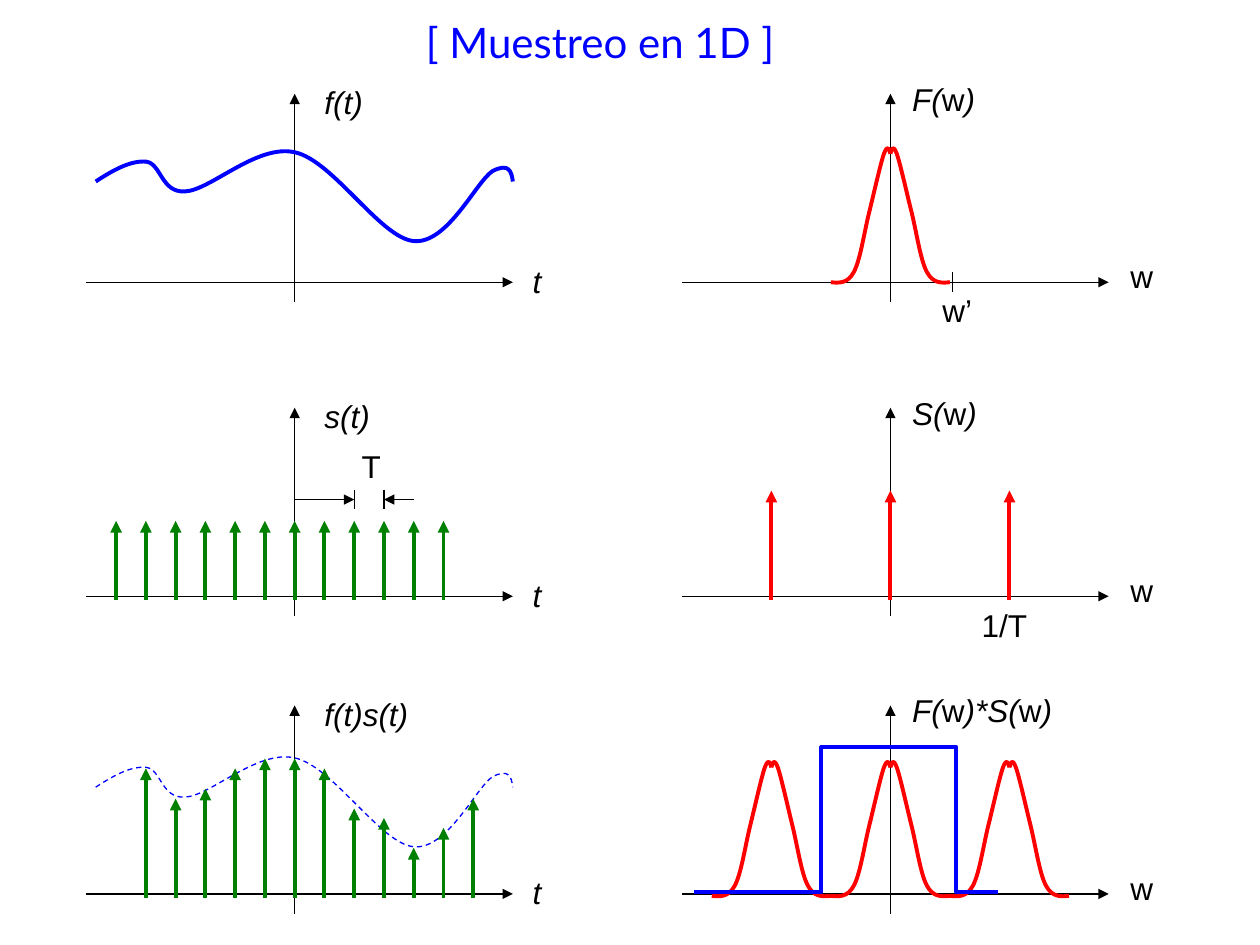
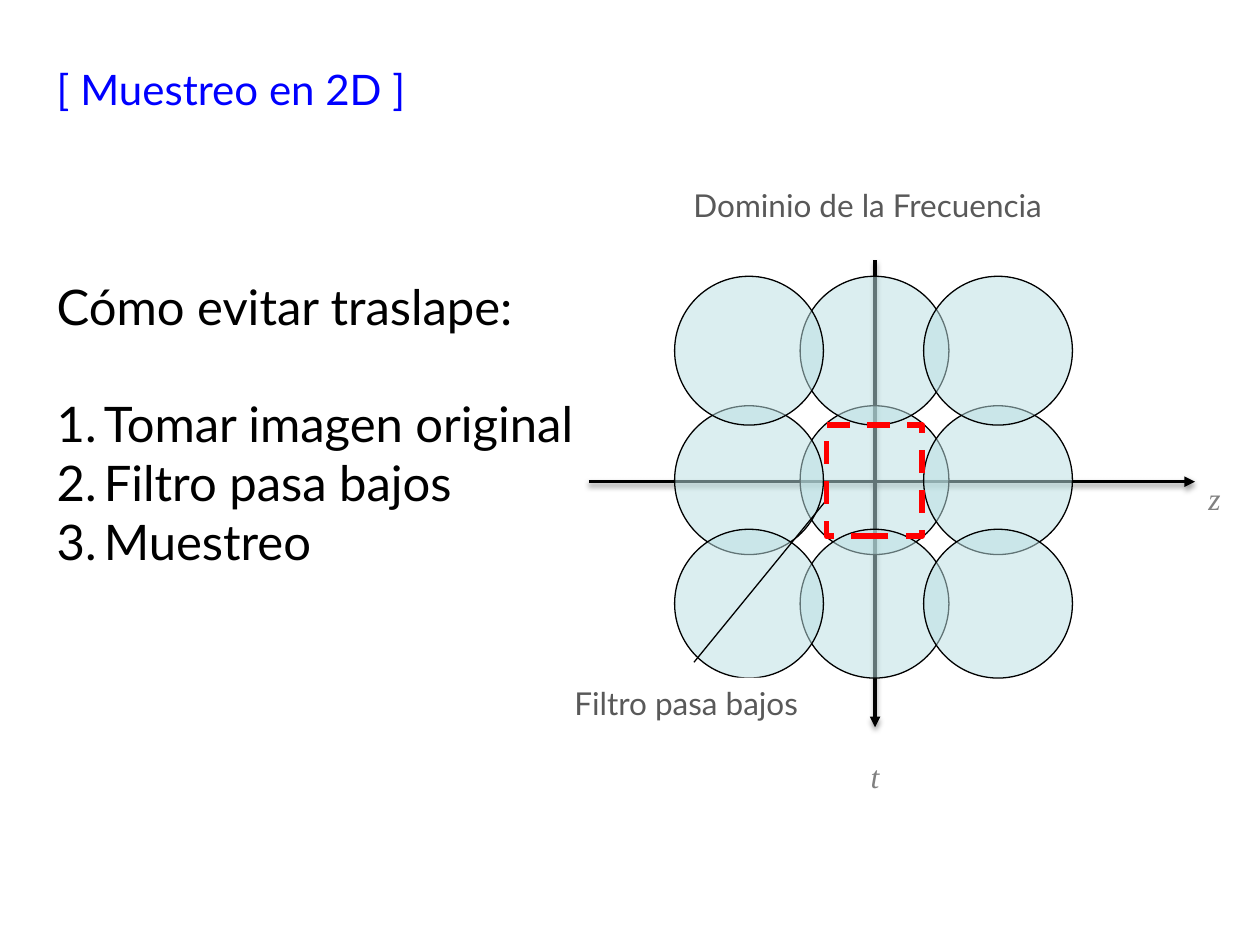
from itertools import product

from lxml.etree import SubElement
from pptx import Presentation
from pptx.dml.color import RGBColor
from pptx.enum.dml import MSO_LINE
from pptx.enum.shapes import MSO_CONNECTOR, MSO_SHAPE
from pptx.enum.text import MSO_ANCHOR, MSO_AUTO_SIZE, PP_ALIGN
from pptx.oxml.ns import qn
from pptx.util import Cm, Pt

COLORS = {"black": "000000", "white": "FFFFFF", "blue": "0000FF", "red": "FF0000",
          "green": "008000", "dark": "595959", "gray": "808080", "aqua": "BBE0E3"}

# Lengths are centimetres; plot points are (offset from axis, height over base).
LEFT, RIGHT = 5.94, 17.95          # x of the vertical axes
BASES = (5.69, 12.02, 18.02)       # y of the horizontal axes
STEP, SPAN = 0.6, 2.4              # gap of samples, gap of spectra
PLOTS = [  # base, time runs, width, frequency runs, width
    (BASES[0], [("f(t)", True)], 1.3, [("F(", True), ("w", False), (")", True)], 1.8),
    (BASES[1], [("s(t)", True)], 1.45, [("S(", True), ("w", False), (")", True)], 1.83),
    (BASES[2], [("f(t)s(t)", True)], 2.24,
     [("F(", True), ("w", False), (")*S(", True), ("w", False), (")", True)], 3.35),
]
MARKS = [("w’", 18.75, 5.74, 1.12), ("T", 7.04, 8.89, 0.91), ("1/T", 19.54, 12.09, 1.45)]
# Knots of cubic curves: a start, then two handles and an end for each piece.
WAVE = [(-4.01, 2.03), (-3.66, 2.26), (-3.3, 2.46), (-2.99, 2.43), (-2.69, 2.39),
        (-2.69, 1.8), (-2.21, 1.83), (-1.7, 1.85), (-0.76, 2.79), (0, 2.62),
        (0.77, 2.46), (1.73, 0.89), (2.4, 0.83), (3.08, 0.76), (3.66, 2.03),
        (3.99, 2.24), (4.32, 2.41), (4.37, 2.24), (4.4, 2.03)]
LOBE = [(-1.2, 0), (-1.02, -0.02), (-0.86, -0.02), (-0.74, 0.2), (-0.61, 0.43),
        (-0.53, 0.99), (-0.43, 1.4), (-0.33, 1.8), (-0.2, 2.39), (-0.13, 2.59),
        (-0.05, 2.79), (-0.03, 2.69), (0, 2.59)]
HEIGHTS = [2.53, 1.92, 2.12, 2.53, 2.73, 2.73, 2.53, 1.72, 1.53, 0.93, 1.33, 1.92]
FILTER = [(14, 17.98), (16.56, 17.98), (16.56, 15.06), (19.28, 15.06),
          (19.28, 17.98), (20.12, 17.98)]

HEAD = "Cómo evitar traslape:"
STEPS = ["Tomar imagen original", "Filtro pasa bajos", "Muestreo"]
ROWS, COLS, DISC = (8.18, 5.57, 10.67), (16.13, 18.62, 13.6), 3
AXES = [(17.64, 5.25, 17.64, 14.66), (11.87, 9.71, 24.09, 9.71)]
NAMES = [("t", 17.3, 15.14, 0.69), ("z", 24.11, 9.53, 0.76)]


def rgb(name):
    return RGBColor.from_string(COLORS[name])


def place(shape, x, y, w, h):
    shape.left, shape.top, shape.width, shape.height = Cm(x), Cm(y), Cm(w), Cm(h)


def fit(frame):
    frame.word_wrap = False
    frame.auto_size = MSO_AUTO_SIZE.NONE
    frame.vertical_anchor = MSO_ANCHOR.TOP


def write(para, text, size, face, color, slant=False):
    run = para.add_run()
    run.text = text
    font = run.font
    font.size, font.name, font.italic = Pt(size), face, slant
    font.color.rgb = rgb(color)


def label(slide, runs, x, y, w, face="Arial", color="black", fill=None):
    box = slide.shapes.add_textbox(Cm(x), Cm(y), Cm(w), Cm(1.02))
    fit(box.text_frame)
    if fill:
        box.fill.solid()
        box.fill.fore_color.rgb = rgb(fill)
    for text, slant in runs:
        write(box.text_frame.paragraphs[0], text, 18, face, color, slant)


def title(slide, text, x, y):
    shape = slide.shapes.title
    place(shape, x, y, 7.55, 1.27)
    shape.fill.solid()
    shape.fill.fore_color.rgb = rgb("white")
    fit(shape.text_frame)
    para = shape.text_frame.paragraphs[0]
    para.alignment = PP_ALIGN.LEFT
    write(para, text, 24, "Lato", "blue")


def stroke(shape, color, width, dash=False):
    shape.line.color.rgb = rgb(color)
    shape.line.width = Pt(width)
    if dash:
        shape.line.dash_style = MSO_LINE.DASH


def line(slide, x1, y1, x2, y2, color="black", width=0.75, arrow=True, shade=False):
    link = slide.shapes.add_connector(MSO_CONNECTOR.STRAIGHT, Cm(x1), Cm(y1), Cm(x2), Cm(y2))
    stroke(link, color, width)
    props = link.element.spPr
    if arrow:
        SubElement(props.find(qn("a:ln")), qn("a:tailEnd"), type="triangle")
    effect = SubElement(props, qn("a:effectLst"))
    if shade:
        cast = SubElement(effect, qn("a:outerShdw"), blurRad=str(Pt(3.1)), dist=str(Pt(1.6)),
                          dir="5400000", rotWithShape="0")
        tone = SubElement(cast, qn("a:srgbClr"), val=COLORS["black"])
        SubElement(tone, qn("a:alpha"), val="38000")


def trace(slide, points, color, width=2.25, dash=False):
    spots = [(Cm(x), Cm(y)) for x, y in points]
    pen = slide.shapes.build_freeform(*spots[0])
    pen.add_line_segments(spots[1:], close=False)
    shape = pen.convert_to_shape()
    shape.fill.background()
    shape.shadow.inherit = False
    stroke(shape, color, width, dash)
    return shape


def bend(shape):
    """Turn each three straight pieces into one cubic curve."""
    route = next(shape.element.iter(qn("a:path")))
    pieces = route.findall(qn("a:lnTo"))
    for i in range(0, len(pieces), 3):
        cubic = SubElement(route, qn("a:cubicBezTo"))
        for piece in pieces[i:i + 3]:
            cubic.append(piece[0])
            route.remove(piece)


def curve(slide, knots, mid, base, color, width=2.25, dash=False, side=1):
    spots = [(mid + side * x, base - y) for x, y in knots]
    bend(trace(slide, spots, color, width, dash))


def lobe(slide, mid, base):
    for side in (1, -1):
        curve(slide, LOBE, mid, base, "red", side=side)


def pulse(slide, x, base, height, color):
    line(slide, x, base + 0.08, x, base - height, color, 2.25)


def plot(slide, base, time, wide, freq, broad):
    for mid in (LEFT, RIGHT):
        line(slide, mid - 4.2, base, mid + 4.4, base)
        line(slide, mid, base + 0.4, mid, base - 3.8)
    label(slide, [("t", True)], 10.49, base - 0.54, 0.69)
    label(slide, [("w", False)], 22.54, base - 0.63, 0.97)
    label(slide, time, LEFT + 0.35, base - 4.14, wide)
    label(slide, freq, RIGHT + 0.19, base - 4.21, broad)


def sampling(deck):
    slide = deck.slides.add_slide(deck.slide_layouts[5])
    title(slide, "[ Muestreo en 1D ]", 8.33, 0.2)
    for row in PLOTS:
        plot(slide, *row)
    for text, x, y, w in MARKS:
        label(slide, [(text, False)], x, y, w)
    top, mid, low = BASES

    curve(slide, WAVE, LEFT, top, "blue")
    lobe(slide, RIGHT, top)
    line(slide, 19.2, top - 0.2, 19.2, top + 0.2, arrow=False)

    for i in range(-6, 6):
        pulse(slide, LEFT + i * STEP, mid, 1.52, "green")
    gauge = 10.07
    for start, end in ((0, 2), (4, 3)):
        x = LEFT + end * STEP
        line(slide, LEFT + start * STEP, gauge, x, gauge)
        line(slide, x, gauge - 0.2, x, gauge + 0.2, arrow=False)
    for i in (-1, 0, 1):
        pulse(slide, RIGHT + i * SPAN, mid, 2.13, "red")

    curve(slide, WAVE, LEFT, low - 0.12, "blue", 0.75, True)
    for i, height in enumerate(HEIGHTS, -5):
        pulse(slide, LEFT + i * STEP, low, height, "green")
    for i in (-1, 0, 1):
        lobe(slide, RIGHT + i * SPAN, low + 0.04)
    trace(slide, FILTER, "blue")


def advice(slide):
    body = slide.placeholders[1]
    place(body, 0.89, 5.44, 11.38, 6.25)
    frame = body.text_frame
    fit(frame)
    for i, text in enumerate([HEAD] + STEPS):
        para = frame.paragraphs[0] if i == 0 else frame.add_paragraph()
        props = para._p.get_or_add_pPr()
        indent = Cm(0.95) if i else 0
        props.set("marL", str(indent))
        props.set("indent", str(-indent))
        if i:
            SubElement(props, qn("a:buFont"), typeface="+mj-lt")
            SubElement(props, qn("a:buAutoNum"), type="arabicPeriod")
        else:
            SubElement(props, qn("a:buNone"))
        para.space_before = Pt(33.6 if i == 1 else 0)
        write(para, text, 28, "Lato", "black")


def spectrum(deck):
    slide = deck.slides.add_slide(deck.slide_layouts[1])
    title(slide, "[ Muestreo en 2D ]", 0.89, 1.15)
    for ends in AXES:
        line(slide, *ends, width=2, shade=True)
    for text, x, y, w in NAMES:
        label(slide, [(text, True)], x, y, w, "Times New Roman", "gray")
    label(slide, [("Dominio de la Frecuencia", False)], 13.73, 3.63, 7.8,
          "Lato", "dark", "white")
    for y, x in product(ROWS, COLS):
        disc = slide.shapes.add_shape(MSO_SHAPE.OVAL, Cm(x), Cm(y), Cm(DISC), Cm(DISC))
        disc.shadow.inherit = False
        disc.fill.solid()
        disc.fill.fore_color.rgb = rgb("aqua")
        tone = disc.element.spPr.find(qn("a:solidFill"))[0]
        SubElement(tone, qn("a:alpha"), val="52000")
        stroke(disc, "black", 0.75)
    line(slide, 16.66, 10.08, 13.99, 13.35, arrow=False)
    label(slide, [("Filtro pasa bajos", False)], 11.33, 13.66, 5.28, "Lato", "dark", "white")
    gate = slide.shapes.add_shape(MSO_SHAPE.RECTANGLE, Cm(16.66), Cm(8.57), Cm(1.93), Cm(2.24))
    gate.shadow.inherit = False
    gate.fill.background()
    stroke(gate, "red", 3.25, True)
    advice(slide)


def main():
    deck = Presentation()
    deck.slide_width, deck.slide_height = Cm(25.4), Cm(19.05)
    sampling(deck)
    spectrum(deck)
    deck.save("out.pptx")


if __name__ == "__main__":
    main()
